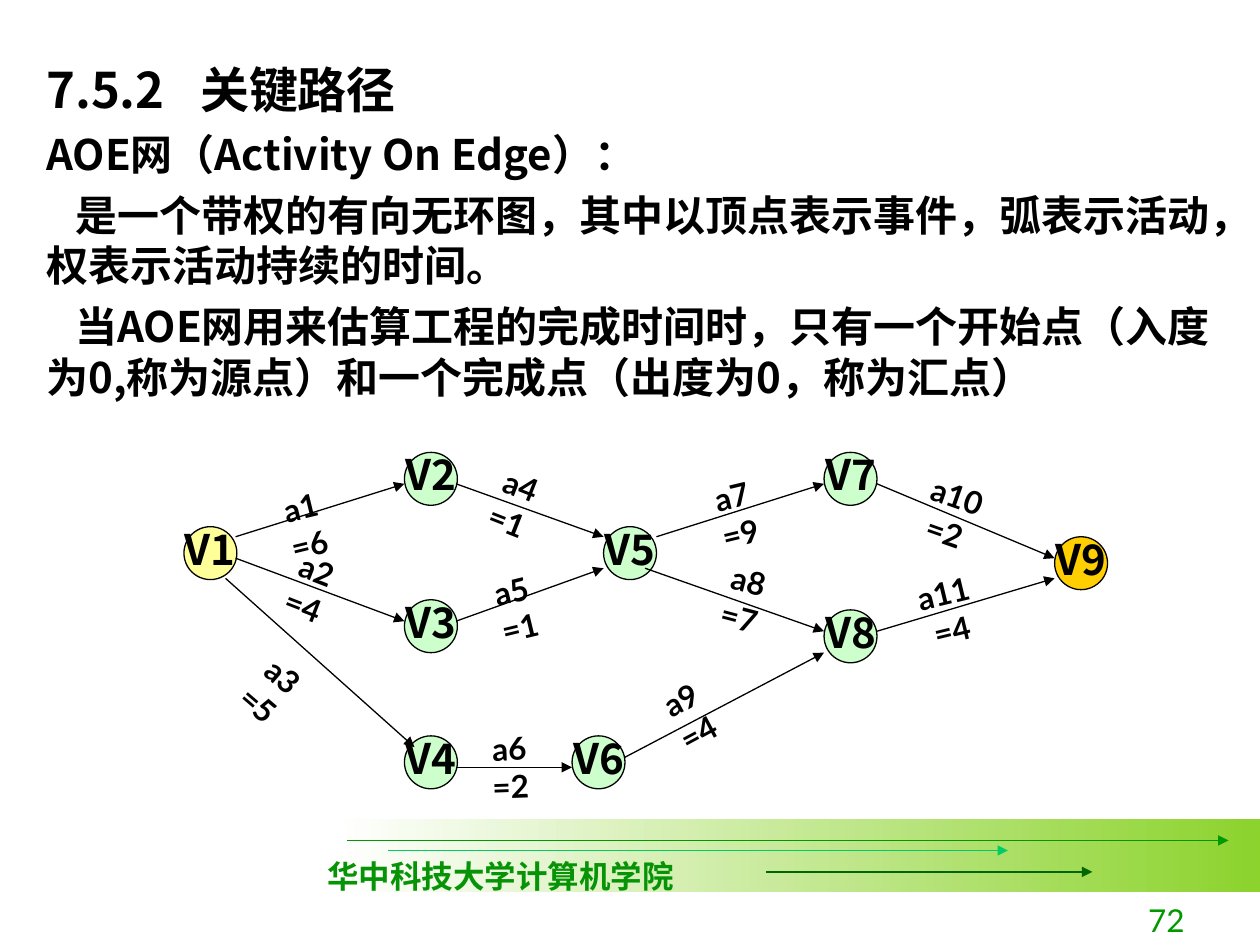
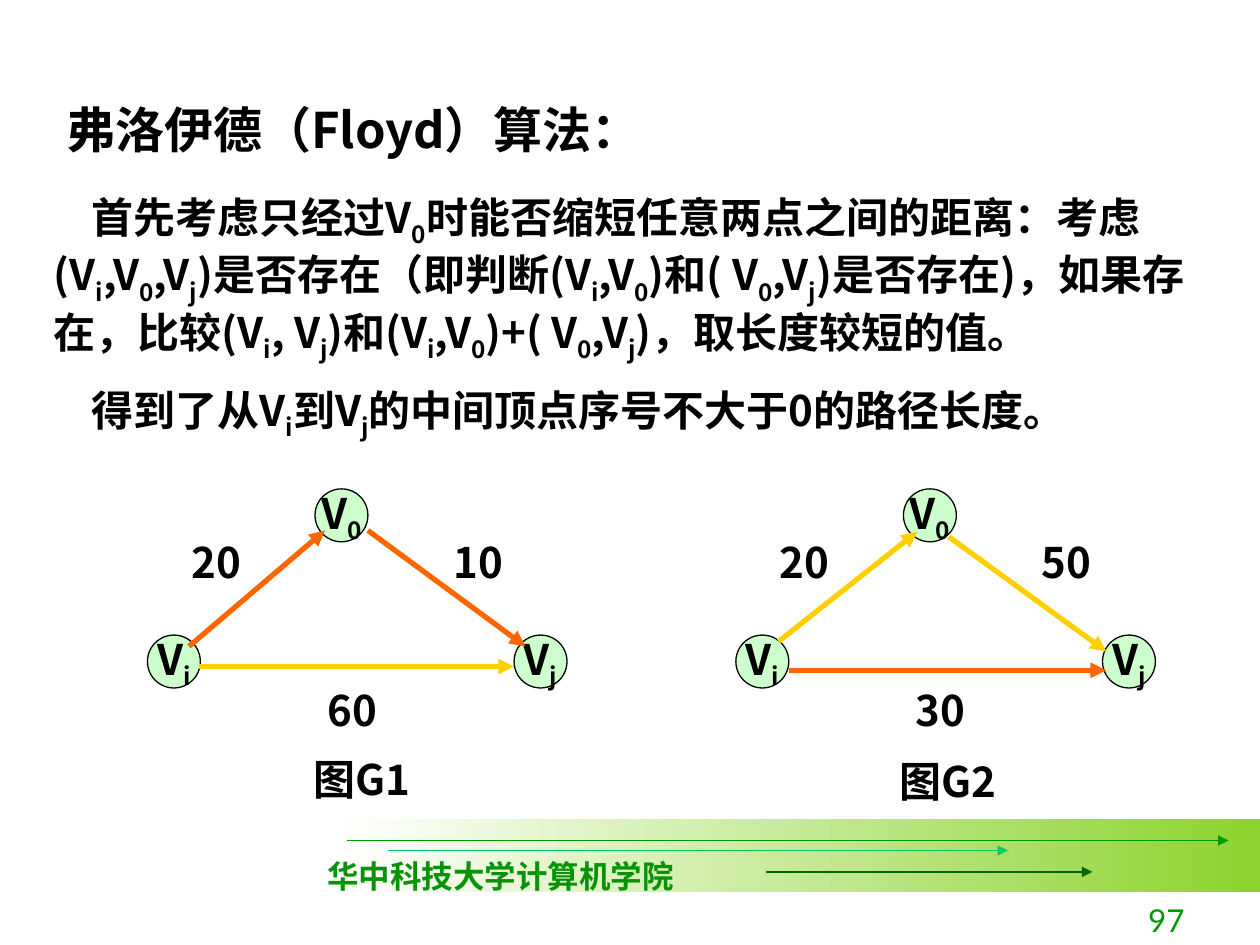
"""Build two graph algorithm slides: critical path and Floyd."""
from dataclasses import dataclass
from typing import NamedTuple, Optional

import lxml.etree
import pptx
import pptx.dml.color
import pptx.enum.shapes
import pptx.enum.text
import pptx.oxml.ns
import pptx.util

Inches = pptx.util.Inches
Pt = pptx.util.Pt
Align = pptx.enum.text.PP_ALIGN
Anchor = pptx.enum.text.MSO_ANCHOR
Kind = pptx.enum.shapes.MSO_SHAPE
qn = pptx.oxml.ns.qn


@dataclass(frozen=True)
class Theme:
    main: str = "Noto Sans CJK SC"
    label: str = "Lato"
    foot: str = "Times New Roman"
    black: str = "000000"
    white: str = "FFFFFF"
    band: str = "8CD32D"
    green: str = "009900"
    mint: str = "00CC66"
    dark: str = "006600"
    school: str = "069406"
    node: str = "CCFFCC"
    start: str = "FFFF99"
    gold: str = "FFCF01"
    orange: str = "FF6600"
    title: int = 28
    body: int = 24
    small: int = 18
    thin: float = 0.75
    thick: float = 3


T = Theme()
SIZE = 0.42
SHIFT = 4.67


class Style(NamedTuple):
    size: int = T.body
    font: str = T.main
    color: str = T.black
    bold: bool = True


class Para(NamedTuple):
    text: str
    style: Style = Style()
    before: float = 0
    indent: float = 0
    align: Optional[Align] = None
    line: Optional[float] = None
    tab: float = 0


class Box(NamedTuple):
    left: float
    top: float
    width: float
    height: float


class Node(NamedTuple):
    name: str
    left: float
    top: float
    fill: str = T.node


class Arrow(NamedTuple):
    x1: float
    y1: float
    x2: float
    y2: float
    color: str = T.black
    width: float = T.thin


class Label(NamedTuple):
    text: str
    left: float
    top: float
    turn: float = 0
    width: float = 0.5


def rgb(code: str) -> pptx.dml.color.RGBColor:
    return pptx.dml.color.RGBColor.from_string(code)


def paint(run, style: Style) -> None:
    font = run.font
    font.size, font.name, font.bold = Pt(style.size), style.font, style.bold
    font.color.rgb = rgb(style.color)
    face = T.main if style.font == T.foot else style.font
    run.font.latin = None
    east = lxml.etree.SubElement(run._r.get_or_add_rPr(), qn("a:ea"))
    east.set("typeface", face)


def write(para, data: Para) -> None:
    head, *rest = data.text.split("_")
    para.text = head
    paint(para.runs[0], data.style)
    for part in rest:
        for text, base in ((part[0], "-25000"), (part[1:], "0")):
            if text:
                run = para.add_run()
                run.text = text
                paint(run, data.style)
                run._r.get_or_add_rPr().set("baseline", base)
    if data.align is not None:
        para.alignment = data.align
    if data.before:
        para.space_before = Pt(data.before)
    if data.line:
        para.line_spacing = data.line
    props = para._p.get_or_add_pPr()
    if data.indent:
        props.set("marL", "0")
        props.set("indent", str(Inches(data.indent)))
    if data.tab:
        tabs = lxml.etree.SubElement(props, qn("a:tabLst"))
        stop = lxml.etree.SubElement(tabs, qn("a:tab"))
        stop.set("pos", str(Inches(data.tab)))
        stop.set("algn", "l")


def fill(frame, paras: list[Para], wrap: bool, anchor: Anchor) -> None:
    frame.word_wrap = wrap
    frame.vertical_anchor = anchor
    for i, data in enumerate(paras):
        write(frame.add_paragraph() if i else frame.paragraphs[0], data)


def text(slide, box: Box, paras: list[Para], wrap: bool = True,
         anchor: Anchor = Anchor.TOP, turn: float = 0) -> None:
    shape = slide.shapes.add_textbox(*map(Inches, box))
    shape.rotation = turn
    fill(shape.text_frame, paras, wrap, anchor)


def circle(slide, node: Node) -> None:
    box = Box(node.left, node.top, SIZE, SIZE)
    shape = slide.shapes.add_shape(Kind.OVAL, *map(Inches, box))
    shape.shadow.inherit = False
    shape.fill.solid()
    shape.fill.fore_color.rgb = rgb(node.fill)
    shape.line.color.rgb = rgb(T.black)
    shape.line.width = Pt(T.thin)
    name = Para(node.name, align=Align.CENTER, line=0.8)
    fill(shape.text_frame, [name], False, Anchor.MIDDLE)


def arrow(slide, data: Arrow) -> None:
    ends = map(Inches, data[:4])
    link = slide.shapes.add_connector(
        pptx.enum.shapes.MSO_CONNECTOR.STRAIGHT, *ends)
    link.line.color.rgb = rgb(data.color)
    link.line.width = Pt(data.width)
    tip = lxml.etree.SubElement(link.line._get_or_add_ln(), qn("a:tailEnd"))
    tip.set("type", "triangle")
    lxml.etree.SubElement(link._element.spPr, qn("a:effectLst"))


def base(deck, number: str):
    slide = deck.slides.add_slide(deck.slide_layouts[6])
    band = slide.shapes.add_shape(
        Kind.RECTANGLE, *map(Inches, Box(2.67, 6.5, 7.33, 0.58)))
    band.shadow.inherit = False
    band.line.fill.background()
    band.fill.gradient()
    band.fill.gradient_angle = 0
    for stop, color in zip(band.fill.gradient_stops, (T.white, T.band)):
        stop.color.rgb = rgb(color)
    for data in (Arrow(2.75, 6.67, 9.75, 6.67, T.green),
                 Arrow(3.08, 6.75, 8, 6.75, T.mint),
                 Arrow(6.08, 6.92, 8.67, 6.92, T.dark)):
        arrow(slide, data)
    school = Style(T.small, T.foot, T.school)
    text(slide, Box(2.5, 6.75, 2.95, 0.4),
         [Para("华中科技大学计算机学院", school)], wrap=False)
    page = Style(T.small, T.label, T.green, False)
    text(slide, Box(7.42, 7, 2.08, 0.5),
         [Para(number, page, align=Align.RIGHT)], anchor=Anchor.BOTTOM)
    return slide


def critical(deck) -> None:
    slide = base(deck, "72")
    text(slide, Box(0.27, 0.42, 9.5, 2.89), [
        Para("7.5.2\t关键路径", Style(T.title), tab=1.22),
        Para("AOE网（Activity On Edge）：", before=6),
        Para("是一个带权的有向无环图，其中以顶点表示事件，弧表示活动，"
             "权表示活动持续的时间。", before=6, indent=0.23),
        Para("当AOE网用来估算工程的完成时间时，只有一个开始点（入度为0,"
             "称为源点）和一个完成点（出度为0，称为汇点）",
             before=6, indent=0.23),
    ])
    for node in (Node("V1", 1.46, 4.18, T.start), Node("V2", 3.21, 3.59),
                 Node("V3", 3.21, 4.76), Node("V4", 3.21, 5.84),
                 Node("V5", 4.79, 4.18), Node("V6", 4.54, 5.84),
                 Node("V7", 6.54, 3.59), Node("V8", 6.54, 4.84),
                 Node("V9", 8.37, 4.26, T.gold)):
        circle(slide, node)
    for data in (Arrow(1.87, 4.26, 3.21, 3.84), Arrow(1.87, 4.43, 3.21, 4.93),
                 Arrow(1.79, 4.59, 3.29, 5.93), Arrow(3.62, 3.84, 4.79, 4.26),
                 Arrow(3.62, 4.93, 4.79, 4.51), Arrow(3.62, 6.09, 4.54, 6.09),
                 Arrow(5.21, 4.26, 6.54, 3.84), Arrow(5.12, 4.51, 6.54, 5.01),
                 Arrow(4.96, 6.01, 6.54, 5.18), Arrow(6.96, 3.84, 8.37, 4.43),
                 Arrow(6.96, 5.01, 8.37, 4.59)):
        arrow(slide, data)
    style = Style(T.small, T.label)
    for tag in (Label("a1=6", 2.12, 3.83, 346.4),
                Label("a2=4", 2.29, 4.33, 21.3),
                Label("a3=5", 2.04, 5.18, 40.7),
                Label("a4=1", 3.91, 3.66, 21.6),
                Label("a5=1", 3.79, 4.49, 346.4),
                Label("a6=2", 3.79, 5.74, 357.8),
                Label("a7=9", 5.54, 3.74, 346.4),
                Label("a8=7", 5.71, 4.41, 14.7),
                Label("a9=4", 5.12, 5.36, 331.8),
                Label("a10=2", 7.31, 3.74, 19.4, 0.62),
                Label("a11=4", 7.16, 4.51, 346.4, 0.62)):
        text(slide, Box(tag.left, tag.top, tag.width, 0.27),
             [Para(tag.text, style, align=Align.CENTER)],
             wrap=False, turn=tag.turn)


def graph(slide, left: float, costs: tuple[str, str, str],
          arrows: list[Arrow], name: str, spot: Box) -> None:
    for node in (Node("V_j", 4.08, 5.04), Node("V_i", 1.17, 5.04),
                 Node("V_0", 2.5, 3.88)):
        circle(slide, node._replace(left=node.left + left))
    spots = ((1.42, 4.21), (3.5, 4.21), (2.5, 5.38))
    for cost, (x, y) in zip(costs, spots):
        text(slide, Box(x + left, y, 0.67, 0.5), [Para(cost)])
    for data in arrows:
        arrow(slide, data)
    text(slide, spot, [Para(name, align=Align.CENTER)])


def floyd(deck) -> None:
    slide = base(deck, "97")
    text(slide, Box(0.43, 0.74, 8.75, 0.57),
         [Para("弗洛伊德（Floyd）算法：", Style(T.title))])
    text(slide, Box(0.33, 1.47, 9.33, 1.92), [
        Para("首先考虑只经过V_0时能否缩短任意两点之间的距离："
             "考虑(V_i,V_0,V_j)是否存在（即判断(V_i,V_0)和( V_0,V_j)是否存在)，"
             "如果存在，比较(V_i, V_j)和(V_i,V_0)+( V_0,V_j)，"
             "取长度较短的值。", indent=0.3),
        Para("得到了从V_i到V_j的中间顶点序号不大于0的路径长度。",
             before=12, indent=0.3),
    ])
    graph(slide, 0, ("20", "10", "60"), [
        Arrow(1.58, 5.29, 4.08, 5.29, T.gold, T.thick),
        Arrow(1.5, 5.13, 2.58, 4.21, T.orange, T.thick),
        Arrow(2.92, 4.21, 4.17, 5.13, T.orange, T.thick),
    ], "图G1", Box(1.77, 5.93, 2.2, 0.5))
    graph(slide, SHIFT, ("20", "50", "30"), [
        Arrow(6.18, 5.09, 7.28, 4.22, T.gold, T.thick),
        Arrow(6.26, 5.32, 8.78, 5.32, T.orange, T.thick),
        Arrow(7.53, 4.26, 8.78, 5.17, T.gold, T.thick),
    ], "图G2", Box(6.42, 5.95, 2.2, 0.5))


def main() -> None:
    deck = pptx.Presentation()
    deck.slide_width, deck.slide_height = Inches(10), Inches(7.5)
    critical(deck)
    floyd(deck)
    deck.save("out.pptx")


if __name__ == "__main__":
    main()
